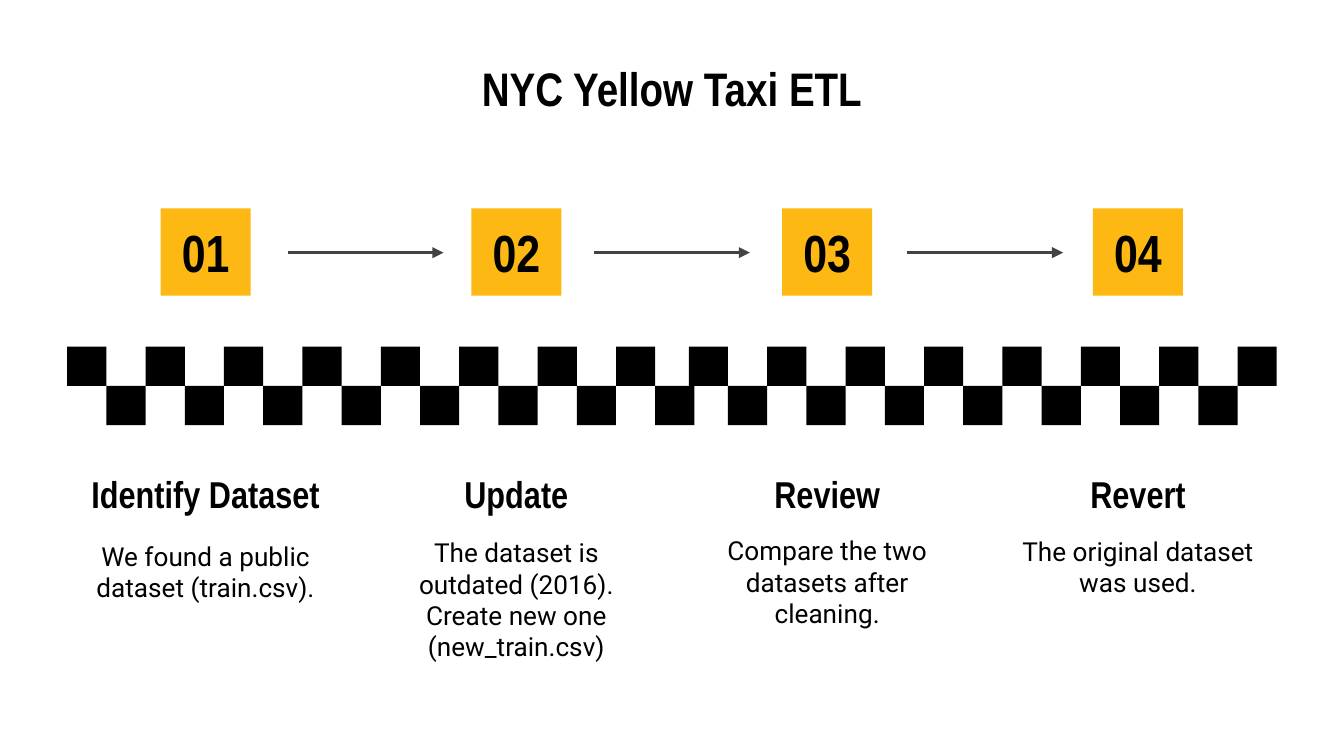
"""Builds a four-step process slide with a taxi checker band."""
import pptx
import pptx.dml.color
import pptx.enum.shapes
import pptx.enum.text
import pptx.oxml
import pptx.oxml.ns
import pptx.util
from pptx.util import Inches

HEAD_FONT, BODY_FONT = "Arial Narrow", "Roboto"
BLACK, YELLOW, GRAY = "000000", "FDB813", "434343"
SLIDE_WIDTH = 10
SLIDE_HEIGHT = SLIDE_WIDTH * 9 / 16
FIRST_CENTER, STEP_PITCH = 1.53, 37 / 16
SQUARE = 7 / 24
STEPS = [
    ("Identify Dataset", 2, "We found a public dataset (train.csv).", 3.87, 2.14, 0.77),
    ("Update", 1.81, "The dataset is outdated (2016). Create new one (new_train.csv)", 3.86, 2, 1.2),
    ("Review", 1.81, "Compare the two datasets after cleaning.", 3.86, 2, 0.94),
    ("Revert", 1.81, "The original dataset was used.", 3.86, 2, 0.71),
]


def rgb(code):
    return pptx.dml.color.RGBColor.from_string(code)


def set_text(sp, text, size, font, bold):
    tf = sp.text_frame
    tf.word_wrap = True
    tf.vertical_anchor = pptx.enum.text.MSO_ANCHOR.MIDDLE
    tf.margin_left = tf.margin_right = tf.margin_top = tf.margin_bottom = Inches(0.1)
    p = tf.paragraphs[0]
    p.text = text
    p.alignment = pptx.enum.text.PP_ALIGN.CENTER
    p.font.size = pptx.util.Pt(size)
    p.font.name = font
    p.font.bold = bold
    p.font.color.rgb = rgb(BLACK)


def add_text(s, text, center, top, width, height, size, font=HEAD_FONT, bold=True):
    sp = s.shapes.add_textbox(Inches(center - width / 2), Inches(top), Inches(width), Inches(height))
    set_text(sp, text, size, font, bold)


def add_rect(shapes, left, top, width, height, fill):
    sp = shapes.add_shape(pptx.enum.shapes.MSO_SHAPE.RECTANGLE,
                          Inches(left), Inches(top), Inches(width), Inches(height))
    sp.shadow.inherit = False
    sp.fill.solid()
    sp.fill.fore_color.rgb = rgb(fill)
    sp.line.fill.background()
    return sp


def add_checkers(s):
    group = s.shapes.add_group_shape()
    for start, count in ((0.5, 16), (5.125, 15)):
        for i in range(count):
            add_rect(group.shapes, start + i * SQUARE, 2.58 + i % 2 * SQUARE, SQUARE, SQUARE, BLACK)


def add_step(s, index, heading, heading_width, body, body_top, body_width, body_height):
    center = FIRST_CENTER + index * STEP_PITCH
    add_text(s, heading, center, 3.49, heading_width, 0.36, 20)
    add_text(s, body, center, body_top, body_width, body_height, 14, BODY_FONT, False)
    sp = add_rect(s.shapes, center - 0.67 / 2, 1.55, 0.67, 0.65, YELLOW)
    set_text(sp, f"{index + 1:02}", 28, HEAD_FONT, True)


def add_arrow(shapes, left, top, length):
    line = shapes.add_connector(pptx.enum.shapes.MSO_CONNECTOR.STRAIGHT,
                                Inches(left), Inches(top), Inches(left + length), Inches(top))
    line.line.color.rgb = rgb(GRAY)
    line.line.width = pptx.util.Pt(1.5)
    ns = pptx.oxml.ns.nsdecls("a")
    properties = line.element.spPr
    properties.get_or_add_ln().append(pptx.oxml.parse_xml(f'<a:tailEnd {ns} type="triangle"/>'))
    properties.append(pptx.oxml.parse_xml(f"<a:effectLst {ns}/>"))


def main():
    prs = pptx.Presentation()
    prs.slide_width, prs.slide_height = Inches(SLIDE_WIDTH), Inches(SLIDE_HEIGHT)
    s = prs.slides.add_slide(prs.slide_layouts[6])
    add_text(s, "NYC Yellow Taxi ETL", SLIDE_WIDTH / 2, 0.45, 9, 0.41, 25.2)
    add_checkers(s)
    for index, step in enumerate(STEPS):
        add_step(s, index, *step)
    arrows = s.shapes.add_group_shape()
    for left in (2.14, 4.42, 6.75):
        add_arrow(arrows.shapes, left, 1.88, 1.16)
    prs.save("out.pptx")


if __name__ == "__main__":
    main()
